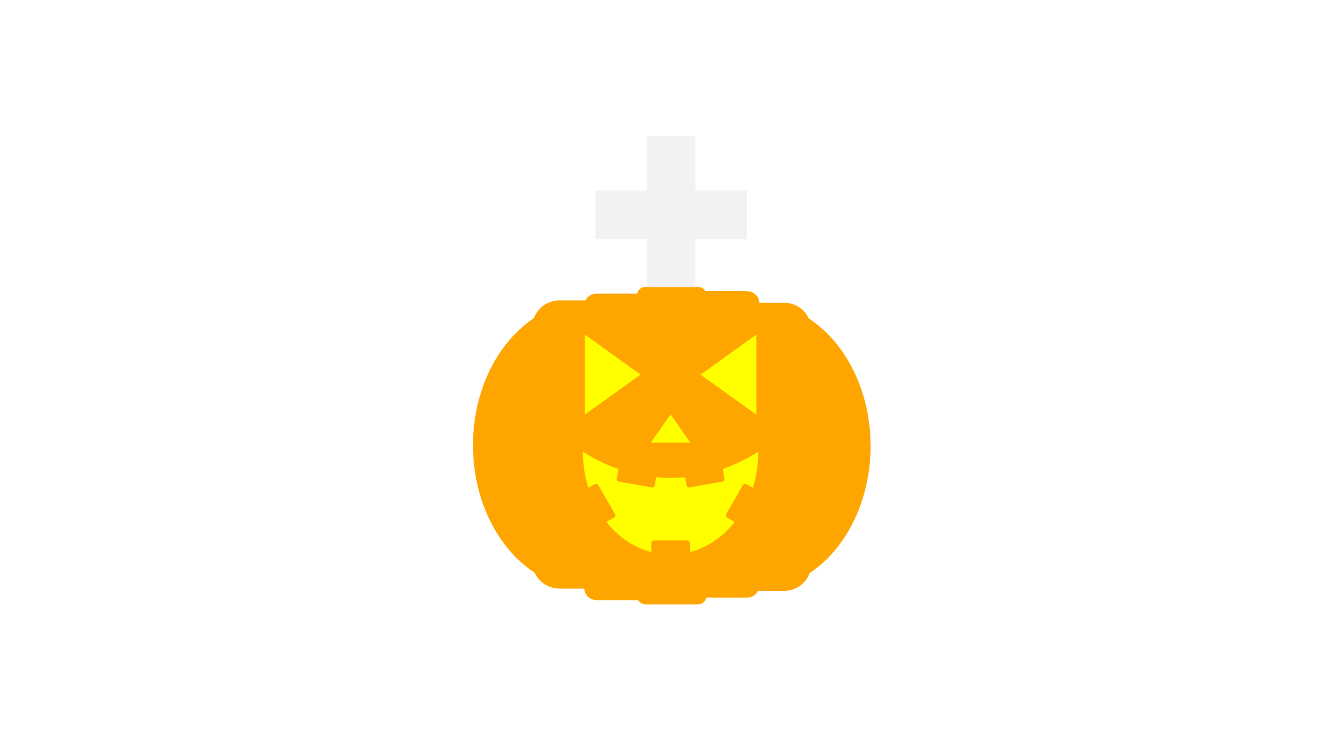
from collections import namedtuple

from pptx import Presentation
from pptx.dml.color import RGBColor
from pptx.enum.shapes import MSO_SHAPE
from pptx.util import Cm

COLOURS = {"pumpkin": "FFA500", "glow": "FFFF00", "cross": "F2F2F2"}
SIDES = (1, -1)  # right, left

Box = namedtuple("Box", "left top width height")


def add_part(shapes, box, kind, colour, offset, size, rotation=0, adjustments=()):
    """Place a filled shape by its centre, offset from the centre of the box."""
    width, height = size
    left = box.left + box.width / 2 + offset[0] - width / 2
    top = box.top + box.height / 2 + offset[1] - height / 2
    part = shapes.add_shape(kind, Cm(left), Cm(top), Cm(width), Cm(height))
    part.rotation = rotation
    for index, value in enumerate(adjustments):
        part.adjustments[index] = value
    part.shadow.inherit = False
    part.fill.solid()
    part.fill.fore_color.rgb = RGBColor.from_string(COLOURS[colour])
    part.line.fill.background()


def add_pumpkin(slide, box):
    ribs = slide.shapes.add_group_shape().shapes
    add_part(ribs, box, MSO_SHAPE.ROUNDED_RECTANGLE, "pumpkin",
             (0, 0), (1.75, box.height), adjustments=(0.117,))
    halves = (
        (MSO_SHAPE.ROUND_2_SAME_RECTANGLE, 1.52, -0.03, (7.72, 1.37), 90, (0.223, 0)),
        (MSO_SHAPE.ROUND_2_SAME_RECTANGLE, 2.83, 0.03, (7.26, 1.37), 90, (0.5, 0)),
        (MSO_SHAPE.CHORD, 2.1, 0.01, (7.26, 5.82), 270, (12.57, 95.372)),
    )
    for side in SIDES:
        for kind, across, down, size, rotation, adjustments in halves:
            add_part(ribs, box, kind, "pumpkin", (side * across, side * down),
                     size, side * rotation % 360, adjustments)


def add_cross(slide, box):
    bar_size = (1.22, 3.81)
    for down, rotation in ((-0.04, 0), (0.04, 90)):
        add_part(slide.shapes, box, MSO_SHAPE.RECTANGLE, "cross",
                 (0, down), bar_size, rotation)


def add_face(slide, box):
    shapes = slide.shapes
    triangle = MSO_SHAPE.ISOSCELES_TRIANGLE
    add_part(shapes, box, triangle, "glow", (0, -0.43), (0.99, 0.71))
    for side in SIDES:
        add_part(shapes, box, triangle, "glow", (side * 1.46, -1.79),
                 (2.01, 1.4), side * 270 % 360)
    add_part(shapes, box, MSO_SHAPE.MOON, "glow", (0, 1.45),
             (2.59, 4.42), 270, (0.746,))

    teeth = [(0, 2.57, 0)]
    for across, down, rotation in ((1.77, 1.45, 300), (0.86, 0.8, 170)):
        teeth += [(side * across, down, side * rotation % 360) for side in SIDES]
    for across, down, rotation in teeth:
        add_part(shapes, box, MSO_SHAPE.ROUND_2_SAME_RECTANGLE, "pumpkin",
                 (across, down), (0.97, 0.36), rotation)


def main():
    presentation = Presentation()
    presentation.slide_width = Cm(33.87)
    presentation.slide_height = Cm(19.05)
    slide = presentation.slides.add_slide(presentation.slide_layouts[6])
    add_pumpkin(slide, Box(11.93, 7.23, 10, 8))
    add_cross(slide, Box(15.01, 3.43, 3.81, 3.89))
    add_face(slide, Box(14.4, 7.23, 5, 8))
    presentation.save("out.pptx")


if __name__ == "__main__":
    main()
